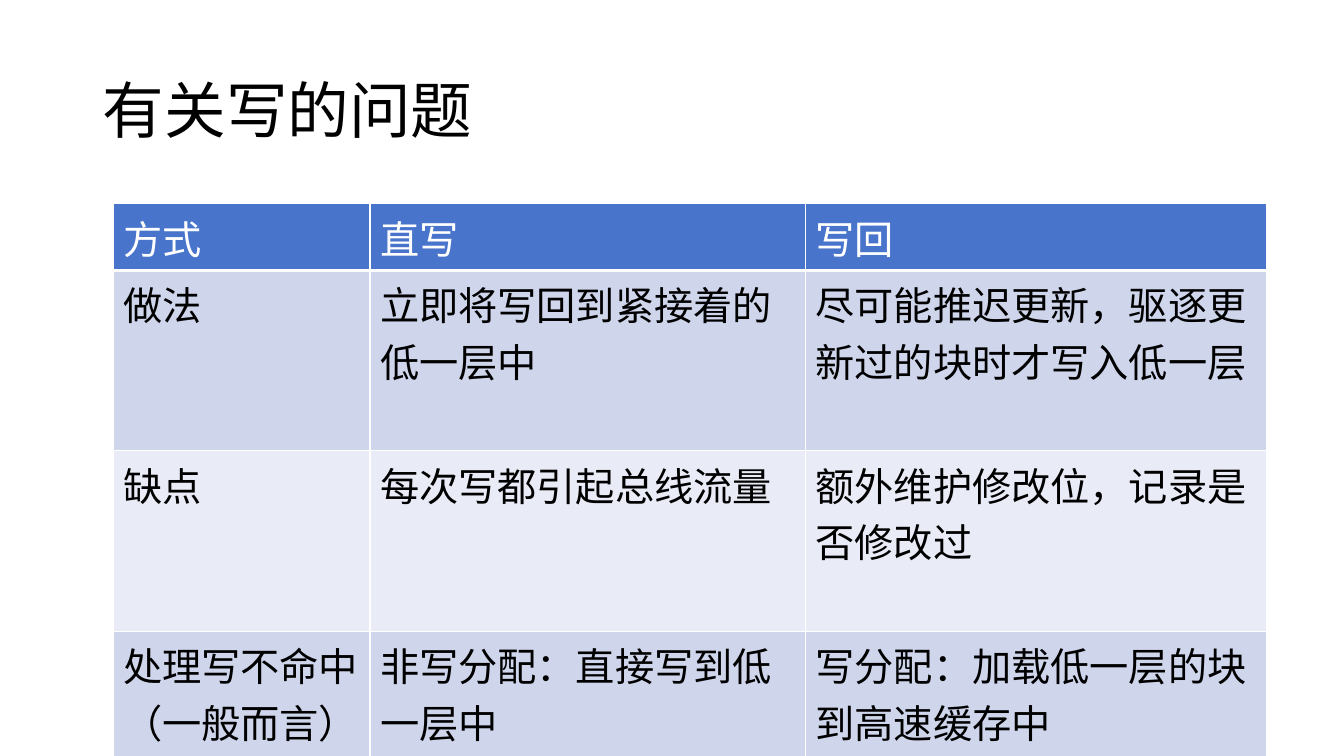
from lxml import etree
from pptx import Presentation
from pptx.dml.color import RGBColor
from pptx.enum.text import MSO_ANCHOR, PP_ALIGN
from pptx.oxml.ns import qn
from pptx.util import Inches, Pt

FONT = "Noto Sans CJK SC"
BLACK = RGBColor(0x00, 0x00, 0x00)
WHITE = RGBColor(0xFF, 0xFF, 0xFF)
HEADER_BLUE = RGBColor(0x48, 0x74, 0xCB)
BAND_DARK = RGBColor(0xCF, 0xD6, 0xEC)
BAND_LIGHT = RGBColor(0xE9, 0xEB, 0xF6)

COLUMN_WIDTHS = [2.55, 4.32, 4.57]
ROW_HEIGHTS = [0.65, 1.79, 1.79, 1.25]
WRITE_POLICIES = [
    ["方式", "直写", "写回"],
    ["做法", "立即将写回到紧接着的低一层中", "尽可能推迟更新，驱逐更新过的块时才写入低一层"],
    ["缺点", "每次写都引起总线流量", "额外维护修改位，记录是否修改过"],
    ["处理写不命中（一般而言）", "非写分配：直接写到低一层中", "写分配：加载低一层的块到高速缓存中"],
]


def write_text(text_frame, text, size, color):
    text_frame.text = text
    paragraph = text_frame.paragraphs[0]
    paragraph.alignment = PP_ALIGN.LEFT
    span = paragraph.runs[0]
    span.font.name = FONT
    span.font.size = Pt(size)
    span.font.bold = False
    span.font.color.rgb = color
    east_asian = etree.SubElement(span.font._element, qn("a:ea"))
    east_asian.set("typeface", FONT)
    return paragraph


def set_border(cell, side, color, width):
    properties = cell._tc.get_or_add_tcPr()
    line = etree.Element(qn(f"a:ln{side}"), w=str(Pt(width)))
    fill = etree.SubElement(line, qn("a:solidFill"))
    etree.SubElement(fill, qn("a:srgbClr"), val=str(color))
    properties.insert(len(properties.findall("*")) - 1, line)


def add_title(page, text):
    title = page.shapes.title
    title.left, title.top = Inches(0.92), Inches(0.4)
    title.width, title.height = Inches(11.5), Inches(1.45)
    title.text_frame.vertical_anchor = MSO_ANCHOR.MIDDLE
    write_text(title.text_frame, text, 44, BLACK).line_spacing = 0.9


def fill_cell(cell, text, row):
    is_header = row == 0
    write_text(cell.text_frame, text, 28, WHITE if is_header else BLACK)
    cell.fill.solid()
    band = BAND_DARK if row % 2 else BAND_LIGHT
    cell.fill.fore_color.rgb = HEADER_BLUE if is_header else band
    for side in "LRTB":
        is_header_rule = (row, side) in [(0, "B"), (1, "T")]
        set_border(cell, side, WHITE, 3 if is_header_rule else 1)


def add_policy_table(page):
    frame = page.shapes.add_table(
        len(ROW_HEIGHTS), len(COLUMN_WIDTHS), Inches(1.12), Inches(2.02),
        Inches(sum(COLUMN_WIDTHS)), Inches(sum(ROW_HEIGHTS)))
    table = frame.table
    for column, width in zip(table.columns, COLUMN_WIDTHS):
        column.width = Inches(width)
    for row, height in zip(table.rows, ROW_HEIGHTS):
        row.height = Inches(height)
    for row, texts in enumerate(WRITE_POLICIES):
        for column, text in enumerate(texts):
            fill_cell(table.cell(row, column), text, row)


def main():
    deck = Presentation()
    deck.slide_width, deck.slide_height = Inches(13.33), Inches(7.5)
    page = deck.slides.add_slide(deck.slide_layouts[5])
    add_title(page, "有关写的问题")
    add_policy_table(page)
    deck.save("out.pptx")


if __name__ == "__main__":
    main()
